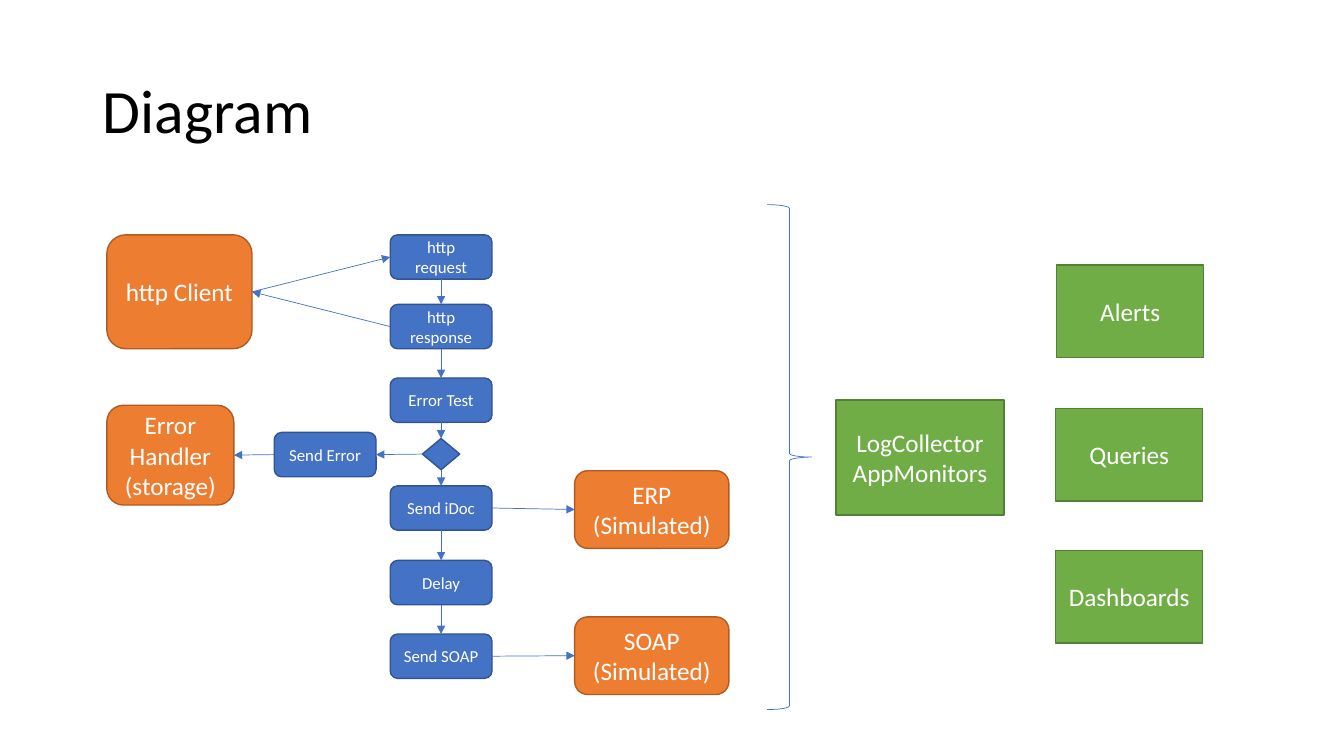
import pptx
import pptx.util
import pptx.dml.color
import pptx.enum.shapes
import pptx.enum.text
import pptx.oxml
import pptx.oxml.ns

Inches, Pt = pptx.util.Inches, pptx.util.Pt
Kind = pptx.enum.shapes.MSO_SHAPE
Align = pptx.enum.text.PP_ALIGN
Middle = pptx.enum.text.MSO_ANCHOR.MIDDLE
Drawn = pptx.oxml.ns.nsdecls("a")


def color(code):
    return pptx.dml.color.RGBColor.from_string(code)


def write(shape, text, size, code, align):
    frame = shape.text_frame
    frame.text = text
    look = {"word_wrap": True, "vertical_anchor": Middle,
            "margin_left": Inches(0.1), "margin_right": Inches(0.1),
            "margin_top": Inches(0.05), "margin_bottom": Inches(0.05)}
    for name, value in look.items():
        setattr(frame, name, value)
    for par in frame.paragraphs:
        par.alignment = align
        for name, value in {"size": Pt(size), "name": "Calibri"}.items():
            setattr(par.font, name, value)
        par.font.color.rgb = color(code)


deck = pptx.Presentation()
deck.slide_width, deck.slide_height = Inches(13.33), Inches(7.5)
slide = deck.slides.add_slide(deck.slide_layouts[5])
shapes = slide.shapes

title = shapes.title
for name, value in {"left": 0.92, "top": 0.4, "width": 11.5, "height": 1.45}.items():
    setattr(title, name, Inches(value))
write(title, "Diagram", 44, "000000", Align.LEFT)
title.text_frame.auto_size = pptx.enum.text.MSO_AUTO_SIZE.NONE
title.text_frame.paragraphs[0].line_spacing = 0.9

styles = {
    "step": (Kind.ROUNDED_RECTANGLE, "4472C4", "325491", 12),
    "test": (Kind.DIAMOND, "4472C4", "325491", 12),
    "system": (Kind.ROUNDED_RECTANGLE, "ED7D31", "AF5C24", 18),
    "monitor": (Kind.RECTANGLE, "70AD47", "538035", 18),
}
steps = [("request", "http request", 3.87, 2.33),
         ("response", "http response", 3.87, 3.02),
         ("check", "Error Test", 3.87, 3.75),
         ("idoc", "Send iDoc", 3.87, 4.82),
         ("delay", "Delay", 3.87, 5.56),
         ("soap", "Send SOAP", 3.87, 6.29),
         ("error", "Send Error", 2.72, 4.29)]
boxes = [(key, "step", text, left, top, 1.01, 0.44) for key, text, left, top in steps]
boxes += [
    ("choice", "test", "", 4.19, 4.35, 0.37, 0.31),
    ("client", "system", "http Client", 1.06, 2.33, 1.44, 1.13),
    ("handler", "system", "Error\nHandler\n(storage)", 1.06, 4.02, 1.26, 0.99),
    ("erp", "system", "ERP\n(Simulated)", 5.7, 4.67, 1.53, 0.77),
    ("target", "system", "SOAP\n(Simulated)", 5.7, 6.12, 1.53, 0.77),
    ("logs", "monitor", "LogCollector\nAppMonitors", 8.29, 3.97, 1.67, 1.14),
    ("alerts", "monitor", "Alerts", 10.48, 2.63, 1.46, 0.92),
    ("queries", "monitor", "Queries", 10.47, 4.05, 1.46, 0.92),
    ("boards", "monitor", "Dashboards", 10.47, 5.46, 1.46, 0.92),
]
nodes = {}
for key, style, text, *place in boxes:
    kind, fill, edge, size = styles[style]
    node = shapes.add_shape(kind, *map(Inches, place))
    node.shadow.inherit = False
    node.fill.solid()
    node.fill.fore_color.rgb = color(fill)
    node.line.color.rgb = color(edge)
    node.line.width = Pt(1)
    if text:
        write(node, text, size, "FFFFFF", Align.CENTER)
    nodes[key] = node

brace = shapes.add_shape(Kind.RIGHT_BRACE, *map(Inches, (7.61, 2.03, 0.44, 5.01)))
brace.shadow.inherit = False
brace.fill.background()
brace.line.color.rgb = color("4472C4")
brace.line.width = Pt(0.5)

TOP, LEFT, BOTTOM, RIGHT = range(4)
flow = ["request", "response", "check", "choice", "idoc", "delay", "soap"]
links = [(start, BOTTOM, end, TOP) for start, end in zip(flow, flow[1:])]
links += [("client", RIGHT, "request", LEFT),
          ("response", LEFT, "client", RIGHT),
          ("choice", LEFT, "error", RIGHT),
          ("error", LEFT, "handler", RIGHT),
          ("idoc", RIGHT, "erp", LEFT),
          ("soap", RIGHT, "target", LEFT)]
for start, exit, end, entry in links:
    arrow = shapes.add_connector(pptx.enum.shapes.MSO_CONNECTOR.STRAIGHT, 0, 0, 0, 0)
    arrow.begin_connect(nodes[start], exit)
    arrow.end_connect(nodes[end], entry)
    arrow.line.color.rgb = color("4472C4")
    arrow.line.width = Pt(0.5)
    arrow.line._get_or_add_ln().append(
        pptx.oxml.parse_xml(f'<a:tailEnd {Drawn} type="triangle"/>'))
    arrow._element.spPr.append(pptx.oxml.parse_xml(f"<a:effectLst {Drawn}/>"))

deck.save("out.pptx")
